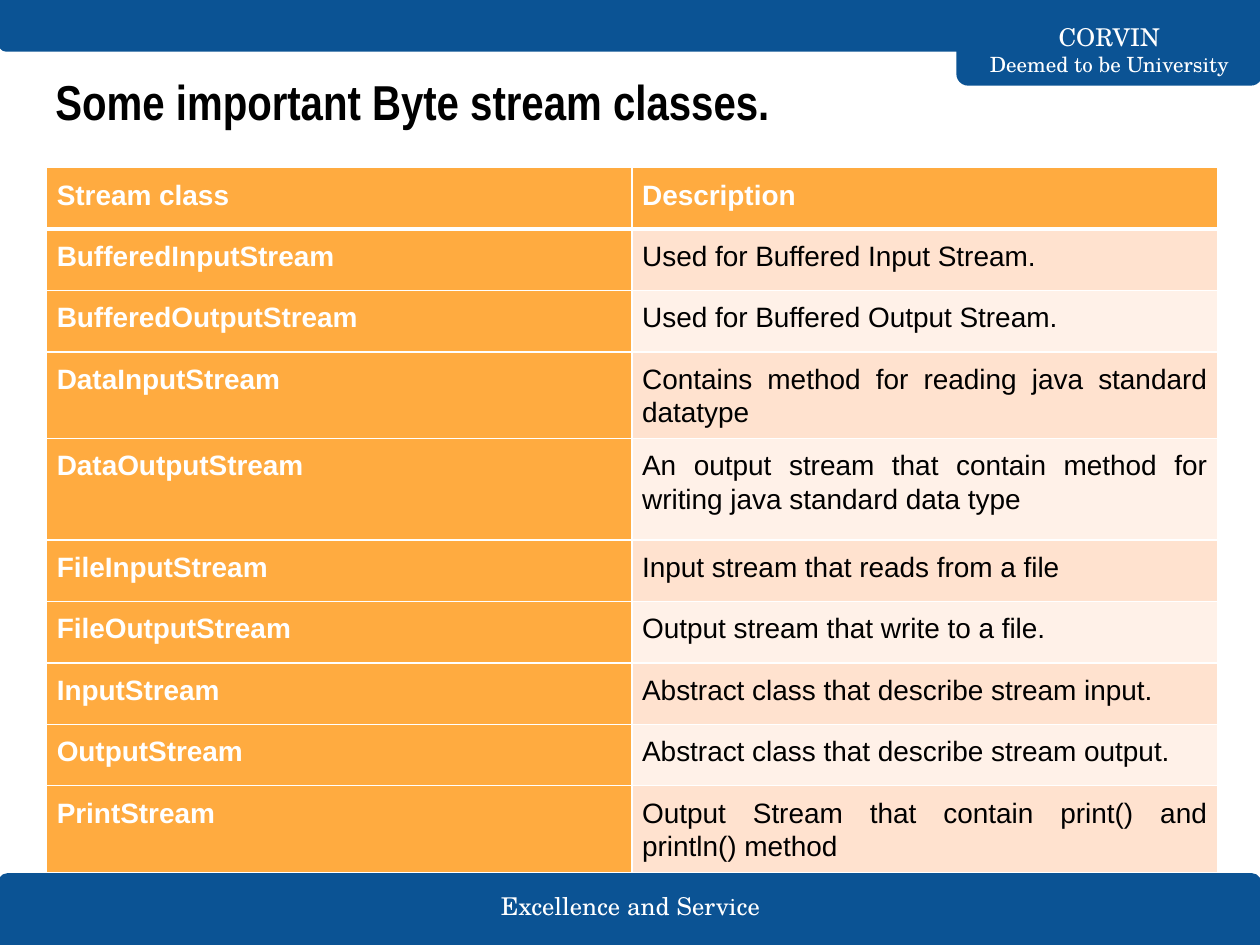
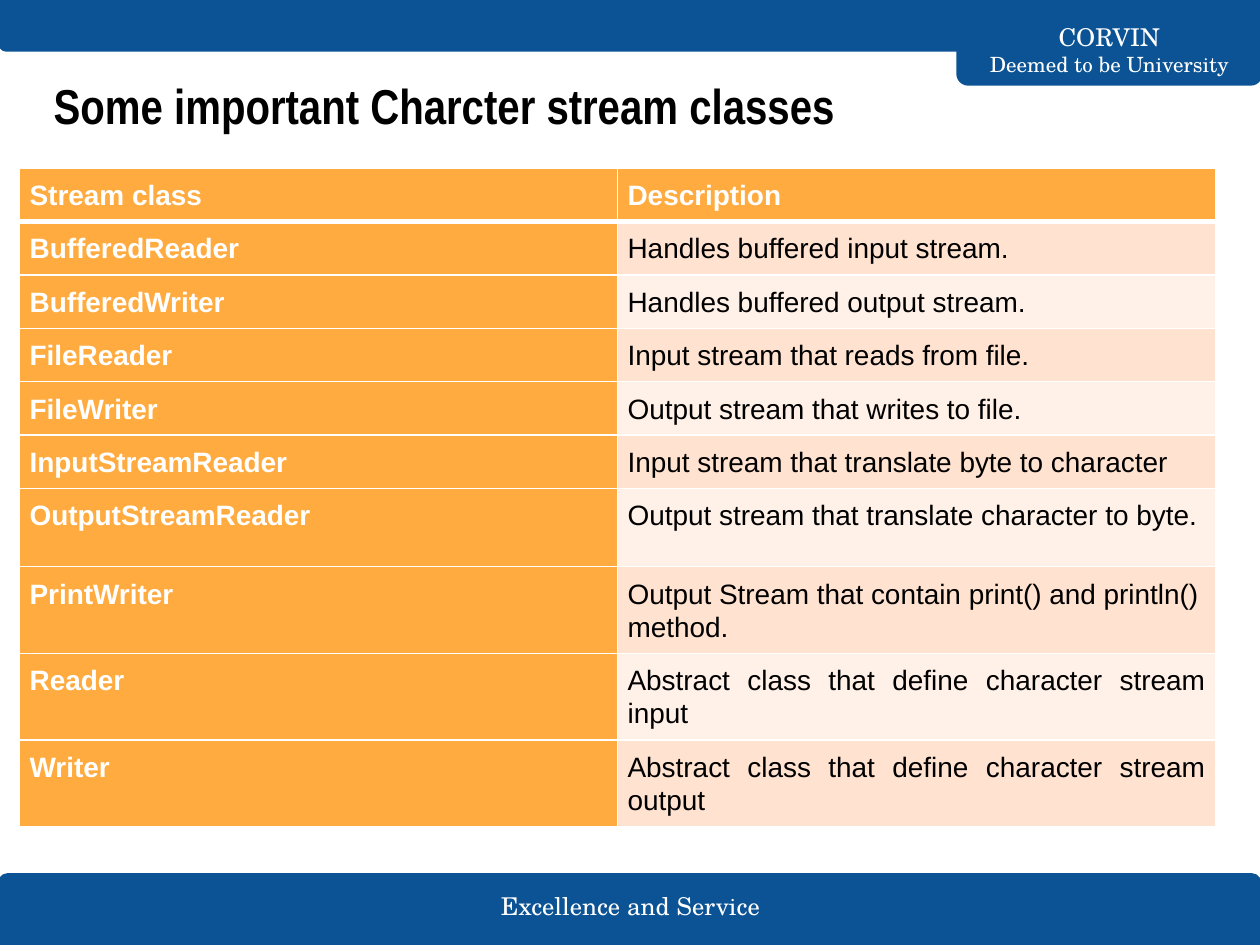
"""Builds two slides listing the byte stream and character stream classes."""
from lxml import etree
from pptx import Presentation
from pptx.dml.color import RGBColor
from pptx.enum.shapes import MSO_SHAPE
from pptx.enum.text import MSO_ANCHOR, MSO_AUTO_SIZE, PP_ALIGN
from pptx.oxml.ns import qn
from pptx.util import Pt

BAND = MSO_SHAPE.ROUND_2_SAME_RECTANGLE
TOP, MIDDLE = MSO_ANCHOR.TOP, MSO_ANCHOR.MIDDLE
LEFT, CENTER, JUSTIFY = PP_ALIGN.LEFT, PP_ALIGN.CENTER, PP_ALIGN.JUSTIFY

COLORS = {"blue": "0B5394", "orange": "FFAB40", "peach": "FFE2CF",
          "cream": "FFF1E8", "white": "FFFFFF", "black": "000000"}
TITLE_FONT, TABLE_FONT, BAND_FONT = "Arial Narrow", "Arial", "TeX Gyre Schola"

HEADER = ("Stream class", "Description")
SLIDES = [
    {
        "title": "Some important Byte stream classes.",
        "title_at": (24.5, 33.8),
        "table_at": (26.7, 95.8),
        "column": 334.5,
        "row": 35.1,
        "tall_rows": {"DataOutputStream": 58, "PrintStream": 46},
        "left_aligned": (),
        "classes": [
            ("BufferedInputStream", "Used for Buffered Input Stream."),
            ("BufferedOutputStream", "Used for Buffered Output Stream."),
            ("DataInputStream", "Contains method for reading java standard datatype"),
            ("DataOutputStream",
             "An output stream that contain method for writing java standard data type"),
            ("FileInputStream", "Input stream that reads from a file"),
            ("FileOutputStream", "Output stream that write to a file."),
            ("InputStream", "Abstract class that describe stream input."),
            ("OutputStream", "Abstract class that describe stream output."),
            ("PrintStream", "Output Stream that contain print() and println() method"),
        ],
    },
    {
        "title": "Some important Charcter stream classes",
        "title_at": (23.5, 36),
        "table_at": (11.2, 96),
        "column": 341.7,
        "row": 30.2,
        "tall_rows": {"OutputStreamReader": 44.6, "PrintWriter": 49,
                      "Reader": 49, "Writer": 49},
        "left_aligned": ("PrintWriter",),
        "classes": [
            ("BufferedReader", "Handles buffered input stream."),
            ("BufferedWriter", "Handles buffered output stream."),
            ("FileReader", "Input stream that reads from file."),
            ("FileWriter", "Output stream that writes to file."),
            ("InputStreamReader", "Input stream that translate byte to character"),
            ("OutputStreamReader", "Output stream that translate character to byte."),
            ("PrintWriter", "Output Stream that contain print() and println() method."),
            ("Reader", "Abstract class that define character stream input"),
            ("Writer", "Abstract class that define character stream output"),
        ],
    },
]

BANDS = [((-0.5, 499.7, 720.7, 40.3), 0),
         ((547.2, 0, 173.5, 48.2), 180),
         ((0, 0, 720.7, 28.8), 180)]
BAND_TEXTS = [((263.5, 506.2, 193.7, 23), "Excellence and Service", (14,)),
              ((547.2, 19.4, 173.5, 18), "CORVIN\vDeemed to be University", (14, 12))]


def rgb(name):
    return RGBColor.from_string(COLORS[name])


def format_run(r, font, size, color, bold=False):
    r.font.name, r.font.size, r.font.bold = font, Pt(size), bold
    r.font.color.rgb = rgb(color)


def set_frame(tf, anchor):
    tf.word_wrap, tf.auto_size, tf.vertical_anchor = True, MSO_AUTO_SIZE.NONE, anchor
    tf.margin_left = tf.margin_right = tf.margin_top = tf.margin_bottom = Pt(7.2)


def add_bands(s):
    for box, rotation in BANDS:
        sp = s.shapes.add_shape(BAND, *map(Pt, box))
        sp.adjustments[0], sp.adjustments[1] = 0.125, 0
        sp.rotation = rotation
        sp.shadow.inherit = False
        sp.fill.solid()
        sp.fill.fore_color.rgb = sp.line.color.rgb = rgb("blue")
        sp.line.width = Pt(1.5)
    for box, text, sizes in BAND_TEXTS:
        tf = s.shapes.add_textbox(*map(Pt, box)).text_frame
        set_frame(tf, MIDDLE)
        p = tf.paragraphs[0]
        p.text = text
        p.alignment = CENTER
        for r, size in zip(p.runs, sizes):
            format_run(r, BAND_FONT, size, "white")


def add_title(s, text, position):
    sp = s.shapes.title
    sp.left, sp.top, sp.width, sp.height = map(Pt, (*position, 671, 59.8))
    tf = sp.text_frame
    set_frame(tf, TOP)
    tf.text = text
    tf.paragraphs[0].alignment = LEFT
    format_run(tf.paragraphs[0].runs[0], TITLE_FONT, 28, "black", True)


def set_borders(cell, widths):
    tc_pr = cell._tc.get_or_add_tcPr()
    for side, width in widths.items():
        ln = etree.SubElement(tc_pr, qn(f"a:ln{side}"), w=str(Pt(width)))
        fill = etree.SubElement(ln, qn("a:solidFill"))
        etree.SubElement(fill, qn("a:srgbClr"), val=COLORS["white"])


def fill_cell(cell, text, fill, color, bold, alignment, widths):
    set_borders(cell, widths)
    cell.fill.solid()
    cell.fill.fore_color.rgb = rgb(fill)
    cell.margin_left = cell.margin_right = cell.margin_top = cell.margin_bottom = Pt(5.76)
    p = cell.text_frame.paragraphs[0]
    p.text = text
    p.alignment, p.line_spacing = alignment, 1.07
    format_run(p.runs[0], TABLE_FONT, 16, color, bold)


def add_class_table(s, data):
    rows = [HEADER] + data["classes"]
    heights = [data["tall_rows"].get(name, data["row"]) for name, _ in rows]
    box = (*data["table_at"], 2 * data["column"], sum(heights))
    table = s.shapes.add_table(len(rows), 2, *map(Pt, box)).table
    for column in table.columns:
        column.width = Pt(data["column"])
    for i, (row, height) in enumerate(zip(rows, heights)):
        table.rows[i].height = Pt(height)
        widths = {"L": 1, "R": 1, "T": 3 if i == 1 else 1, "B": 3 if i == 0 else 1}
        for j, text in enumerate(row):
            strong = i == 0 or j == 0
            fill = "orange" if strong else "peach" if i % 2 else "cream"
            alignment = LEFT if j and row[0] in data["left_aligned"] else JUSTIFY
            fill_cell(table.cell(i, j), text, fill, "white" if strong else "black",
                      strong, alignment, widths)


def main():
    prs = Presentation()
    prs.slide_width, prs.slide_height = Pt(720), Pt(540)
    for data in SLIDES:
        s = prs.slides.add_slide(prs.slide_layouts[5])
        add_bands(s)
        add_title(s, data["title"], data["title_at"])
        add_class_table(s, data)
    prs.save("out.pptx")


if __name__ == "__main__":
    main()
